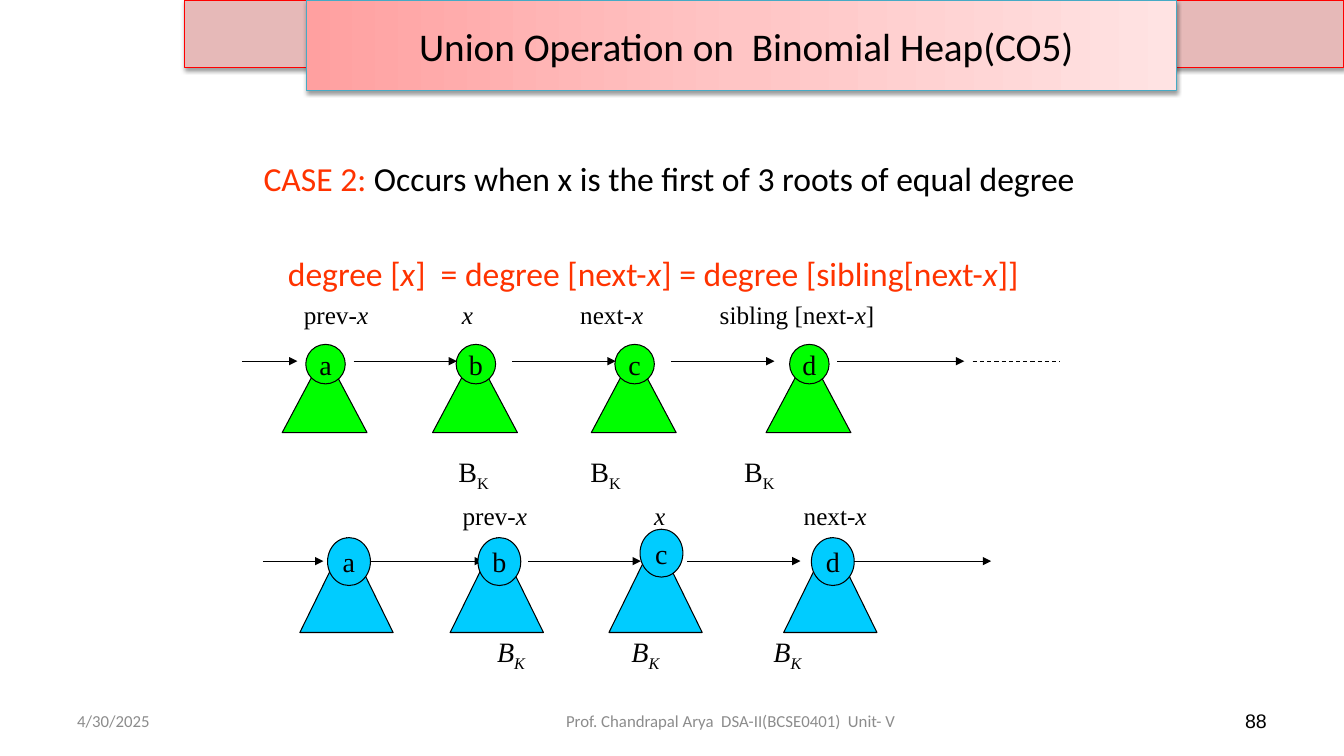
from copy import deepcopy
from dataclasses import dataclass

from lxml import etree
from pptx import Presentation
from pptx import util as u
from pptx.dml.color import RGBColor
from pptx.enum import dml, shapes, text
from pptx.oxml import ns

HUES = {
    "ink": "000000", "case": "FF3300", "foot": "8C8C8C",
    "green": "00FF00", "blue": "00CCFF",
    "band": "E6B9B8", "red": "FF0000", "teal": "46AAC5",
    "warm": "FFA0A0", "mid": "FFC5C5", "pale": "FFE3E3",
}
COLS, ROWS = 160, 90
CELL = u.Inches(7.5) / ROWS
SERIF, SANS = "Times New Roman", "Calibri"
LEFT, MID, RIGHT = text.PP_ALIGN.LEFT, text.PP_ALIGN.CENTER, text.PP_ALIGN.RIGHT
JUST = text.PP_ALIGN.JUSTIFY
TOP, HALF = text.MSO_ANCHOR.TOP, text.MSO_ANCHOR.MIDDLE
KIND = shapes.MSO_SHAPE
Box = tuple[float, float, float, float]


@dataclass
class Run:
    words: str
    slant: bool = False
    sub: bool = False
    hue: str = "ink"


@dataclass
class Para:
    runs: list[Run]
    align: int = LEFT
    indent: float = 0
    gap: float = 0


@dataclass
class Label:
    box: Box
    paras: list[Para]
    size: float
    face: str = SERIF
    anchor: int = TOP


@dataclass
class Node:
    name: str
    step: float
    shift: float = 0
    lift: float = 0


@dataclass
class Heap:
    hue: str
    left: float
    top: float
    tree: tuple[float, float]
    root: Box
    level: float
    links: list[tuple[float, float]]
    nodes: list[Node]


def grid(*cells: float) -> list[int]:
    return [round(c * CELL) for c in cells]


def tint(hue: str) -> RGBColor:
    return RGBColor.from_string(HUES[hue])


def add_tag(home, tag: str, **traits):
    return etree.SubElement(home, ns.qn(tag), {k: str(v) for k, v in traits.items()})


def write(frame, label: Label, wrap: bool = True) -> None:
    frame.word_wrap = wrap
    frame.vertical_anchor = label.anchor
    for i, para in enumerate(label.paras):
        p = frame.add_paragraph() if i else frame.paragraphs[0]
        p.alignment = para.align
        if i:
            p.space_before = u.Pt(para.gap)
        props = p._p.get_or_add_pPr()
        props.set("marL", str(grid(para.indent)[0]))
        props.set("indent", "0")
        for part in para.runs:
            run = p.add_run()
            run.text = part.words
            run.font.size, run.font.name = u.Pt(label.size), label.face
            run.font.italic = part.slant
            run.font.color.rgb = tint(part.hue)
            if part.sub:
                run.font._element.set("baseline", "-25000")


def draw_text(pen, label: Label) -> None:
    write(pen.add_textbox(*grid(*label.box)).text_frame, label)


def draw_shape(pen, kind: int, box: Box, fill: str, line: str = "ink"):
    shape = pen.add_shape(kind, *grid(*box))
    shape.shadow.inherit = False
    shape.fill.solid()
    shape.fill.fore_color.rgb = tint(fill)
    shape.line.color.rgb = tint(line)
    shape.line.width = u.Pt(0.75)
    return shape


def draw_panel(pen, box: Box, fill: str, line: str):
    panel = draw_shape(pen, KIND.RECTANGLE, box, fill, line)
    glow = panel._element.spPr.find(ns.qn("a:effectLst"))
    shade = add_tag(glow, "a:outerShdw", blurRad=u.Pt(3.1), dist=u.Pt(1.6),
                    dir=5400000, rotWithShape=0)
    add_tag(add_tag(shade, "a:srgbClr", val=HUES["ink"]), "a:alpha", val=38000)
    return panel


def blend(shape, hues: list[str]) -> None:
    shape.fill.gradient()
    shape.fill.gradient_angle = 0
    stops = next(shape._element.spPr.iter(ns.qn("a:gsLst")))
    while len(stops) < len(hues):
        stops.append(deepcopy(stops[0]))
    for i, (stop, hue) in enumerate(zip(shape.fill.gradient_stops, hues)):
        stop.position = i / (len(hues) - 1)
        stop.color.rgb = tint(hue)


def draw_link(pen, start: float, end: float, level: float, dash: bool = False) -> None:
    link = pen.add_connector(shapes.MSO_CONNECTOR.STRAIGHT, *grid(start, level, end, level))
    link.line.color.rgb = tint("ink")
    link.line.width = u.Pt(0.75)
    if dash:
        link.line.dash_style = dml.MSO_LINE.DASH
    else:
        add_tag(link.line._get_or_add_ln(), "a:tailEnd", type="triangle")
    add_tag(link._element.spPr, "a:effectLst")


def draw_heap(pen, heap: Heap) -> None:
    for start, end in heap.links:
        draw_link(pen, start, end, heap.level)
    dx, top, wide, high = heap.root
    for node in heap.nodes:
        left = heap.left + node.step
        draw_shape(pen, KIND.ISOSCELES_TRIANGLE, (left, heap.top, *heap.tree), heap.hue)
        box = (left + dx + node.shift, top - node.lift, wide, high)
        root = draw_shape(pen, KIND.OVAL, box, heap.hue)
        name = Label(box, [Para([Run(node.name)], MID)], 20, SERIF, HALF)
        write(root.text_frame, name, wrap=False)


def mark(left: float, top: float, runs: list[Run], size: float = 18,
         wide: float = 12) -> Label:
    return Label((left, top, wide, 5), [Para(runs)], size)


def orders(lefts: tuple[float, ...], top: float, slant: bool) -> list[Label]:
    runs = [Run("B", slant), Run("K", slant, True)]
    return [mark(left, top, runs, 20) for left in lefts]


def single(box: Box, words: str, size: float, face: str, align: int, hue: str) -> Label:
    return Label(box, [Para([Run(words, hue=hue)], align)], size, face, HALF)


HEAPS = [
    Heap("green", 33.6, 42, (10.1, 9.5), (2.8, 41, 4.7, 4.7), 43,
         [(28.8, 35.4), (42.1, 54.4), (61, 73.3), (79.9, 92.2), (99.7, 114.8)],
         [Node("a", 0), Node("b", 17.9), Node("c", 36.8), Node("d", 57.6)]),
    Heap("blue", 35.7, 64, (11.1, 11.3), (3.3, 64, 5.1, 5.7), 66.8,
         [(31.3, 38.5), (44, 57.5), (62.9, 76.3), (81.8, 95.3), (101.4, 118)],
         [Node("a", 0), Node("b", 17.9), Node("c", 36.8, 0.4, 1), Node("d", 57.6)]),
]
X = Run("x", True)
PREV, NEXT = [Run("prev-"), X], [Run("next-"), X]
RULE = [Run(words, words == "x", hue="case") for words in
        ("degree [", "x", "]  = degree [next-", "x", "] = degree [sibling[next-", "x", "]]")]
CASE = [Run("CASE 2:", hue="case"),
        Run(" Occurs when x is the first of 3 roots of equal degree")]
LABELS = [
    mark(35, 35, PREV),
    mark(53.8, 35, [X]),
    mark(67.9, 35, NEXT),
    mark(84.5, 35, [Run("sibling [next-"), X, Run("]")], wide=22),
    mark(53.9, 59, PREV),
    mark(76.7, 59, [X]),
    mark(94.5, 59, NEXT),
    *orders((53.4, 69.1, 87.4), 53.5, False),
    *orders((58, 74, 90.9), 75, True),
    Label((27.6, 18.2, 105.8, 15), [
        Para(CASE, JUST, 2.6), Para(RULE, JUST, 5.5, 39.3)], 24, SANS),
    single((114.7, 83.4, 37.3, 4.8), "88", 14, "Arial", RIGHT, "ink"),
    single((8, 83.4, 37.3, 4.8), "4/30/2025", 12, SANS, LEFT, "foot"),
    single((61, 83.4, 52, 4.8), "Prof. Chandrapal Arya  DSA-II(BCSE0401)  Unit- V",
           12, SANS, MID, "foot"),
]
TITLE = single((36.5, 0.1, 103.6, 10.7), " Union Operation on  Binomial Heap(CO5)",
               28, SANS, MID, "ink")


def main() -> None:
    deck = Presentation()
    deck.slide_width, deck.slide_height = grid(COLS, ROWS)
    pen = deck.slides.add_slide(deck.slide_layouts[6]).shapes
    draw_panel(pen, (22, 0, 138, 8), "band", "red")
    draw_link(pen, 115.8, 126.2, 43, dash=True)
    for heap in HEAPS:
        draw_heap(pen, heap)
    for label in LABELS:
        draw_text(pen, label)
    head = draw_panel(pen, TITLE.box, "warm", "teal")
    blend(head, ["warm", "mid", "pale"])
    write(head.text_frame, TITLE)
    deck.save("out.pptx")


if __name__ == "__main__":
    main()
